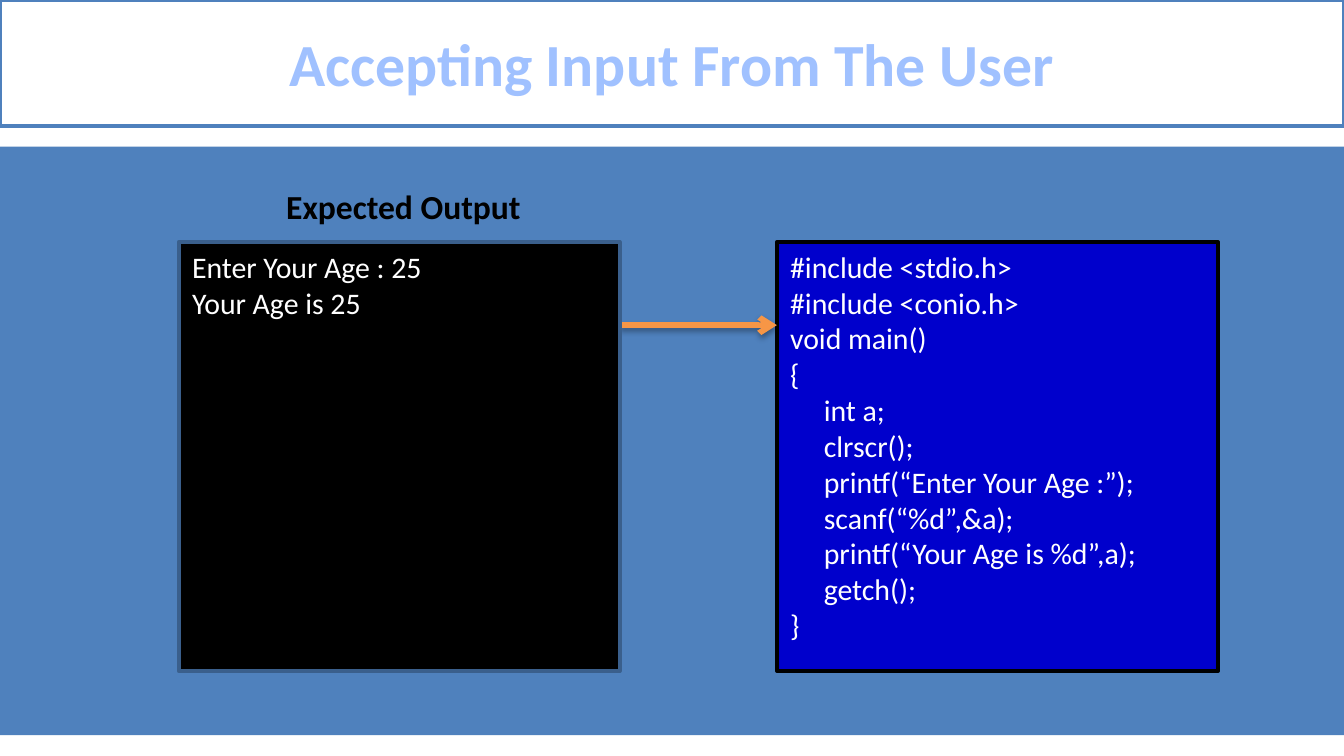
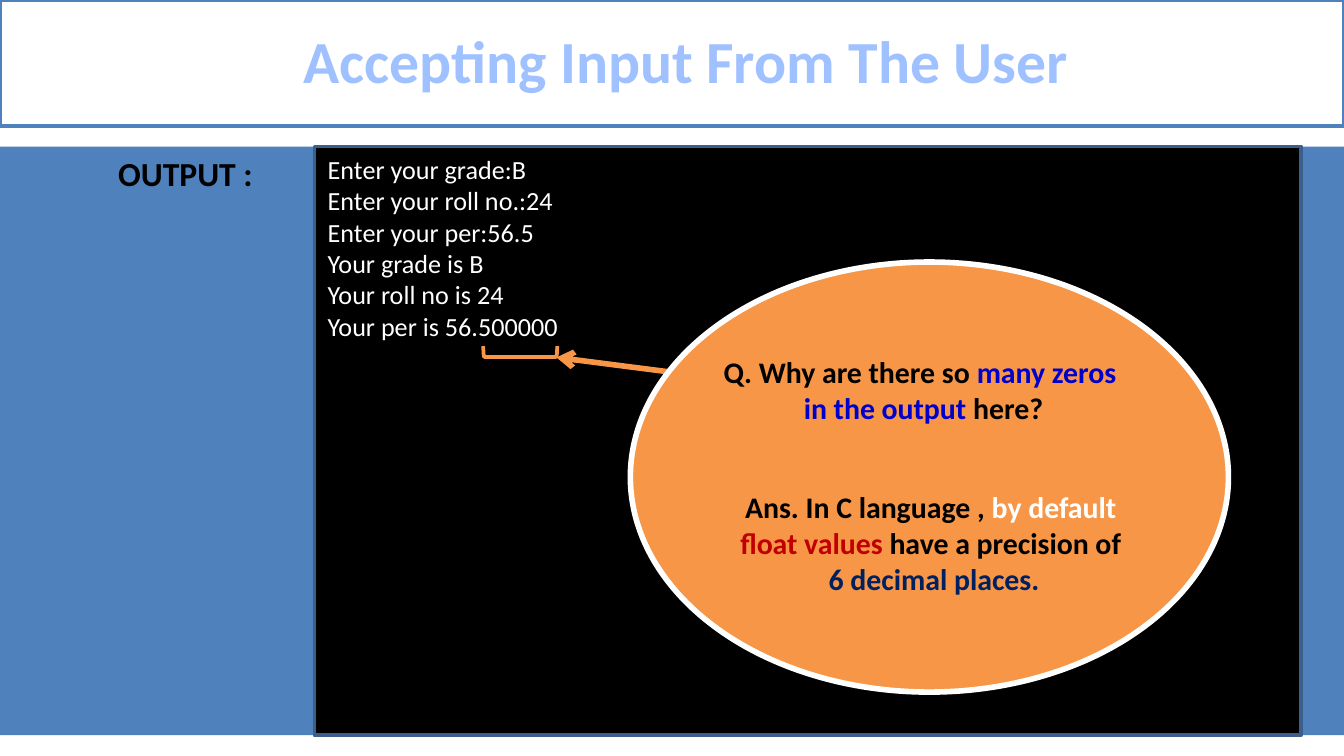
"""Build two slides on reading user input in C."""
from lxml import etree
from pptx import Presentation
from pptx.dml.color import RGBColor as Rgb
from pptx.enum import shapes, text
from pptx.oxml import parse_xml
from pptx.oxml.ns import qn
from pptx.util import Pt

WHITE = Rgb(0xFF, 0xFF, 0xFF)
BLACK = Rgb(0, 0, 0)
STEEL = Rgb(0x4F, 0x81, 0xBD)
EDGE = Rgb(0x3A, 0x5F, 0x8C)
PALE = Rgb(0xA0, 0xC1, 0xFF)
BLUE = Rgb(0, 0, 0xCC)
NAVY = Rgb(0, 0x20, 0x60)
RED = Rgb(0xC0, 0, 0)
AMBER = Rgb(0xF7, 0x96, 0x46)

FONT = "Calibri"
TITLE = "Accepting Input From The User"
WIDE, HIGH = 720, 405
BAND = (0, 78.5, WIDE, 315.4)
HEAD = (0, 0, WIDE, 67.5)
PANE_Y, PANE_W, PANE_H = 129.6, 236.2, 230
LEFT_X, RIGHT_X = 95.8, 416.2

PROMPT = ["Enter Your Age : 25", "Your Age is 25"]
CODE = [
    "#include <stdio.h>",
    "#include <conio.h>",
    "void main()",
    "{",
    "     int a;",
    "     clrscr();",
    "     printf(“Enter Your Age :”);",
    "     scanf(“%d”,&a);",
    "     printf(“Your Age is %d”,a);",
    "     getch();",
    "}",
]
RESULT = [
    "Enter your grade:B",
    "Enter your roll no.:24",
    "Enter your per:56.5",
    "Your grade is B",
    "Your roll no is 24",
    "Your per is 56.500000",
]
ASK = [
    [("Q. Why are there so ", BLACK), ("many zeros ", BLUE)],
    [("in the output", BLUE), (" here?", BLACK)],
]
REPLY = [
    [("Ans. In C language , ", BLACK), ("by default ", WHITE)],
    [("float values", RED), (" have a precision of ", BLACK)],
    [("6 decimal places.", NAVY)],
]

GLOW = (
    '<a:outerShdw xmlns:a="http://schemas.openxmlformats.org/drawingml/2006/main"'
    ' blurRad="{}" dist="{}" dir="5400000" rotWithShape="0">'
    '<a:srgbClr val="000000"><a:alpha val="{}000"/></a:srgbClr></a:outerShdw>'
)


def glow(item, dist, alpha):
    props = item._element.spPr
    node = props.find(qn("a:effectLst"))
    if node is None:
        node = etree.SubElement(props, qn("a:effectLst"))
    node.append(parse_xml(GLOW.format(Pt(3.1), Pt(dist), alpha)))


def write(frame, lines, size, color=WHITE, bold=False, center=False):
    for pos, line in enumerate(lines):
        para = frame.paragraphs[0] if pos == 0 else frame.add_paragraph()
        para.alignment = text.PP_ALIGN.CENTER if center else text.PP_ALIGN.LEFT
        for words, tint in [(line, color)] if isinstance(line, str) else line:
            run = para.add_run()
            run.text = words
            run.font.name = FONT
            run.font.size = Pt(size)
            run.font.bold = bold
            run.font.color.rgb = tint


def draw(slide, box, fill=None, line=None, width=2, kind="RECTANGLE"):
    item = slide.shapes.add_shape(shapes.MSO_SHAPE[kind], *map(Pt, box))
    item.shadow.inherit = False
    if fill is None:
        item.fill.background()
    else:
        item.fill.solid()
        item.fill.fore_color.rgb = fill
    if line is None:
        item.line.fill.background()
    else:
        item.line.color.rgb = line
        item.line.width = Pt(width)
    return item


def label(slide, box, lines, size, **look):
    frame = slide.shapes.add_textbox(*map(Pt, box)).text_frame
    frame.word_wrap = True
    write(frame, lines, size, **look)


def arrow(slide, *ends):
    item = slide.shapes.add_connector(shapes.MSO_CONNECTOR.STRAIGHT, *map(Pt, ends))
    item.line.color.rgb = AMBER
    item.line.width = Pt(3)
    etree.SubElement(item.line._get_or_add_ln(), qn("a:tailEnd"), type="arrow")
    glow(item, 1.8, 35)


def base(deck):
    slide = deck.slides.add_slide(deck.slide_layouts[6])
    draw(slide, BAND, STEEL)
    head = draw(slide, HEAD, WHITE, STEEL)
    frame = head.text_frame
    frame.word_wrap = True
    frame.vertical_anchor = text.MSO_ANCHOR.MIDDLE
    write(frame, [TITLE], 32, PALE, bold=True, center=True)
    return slide, frame


def age(deck):
    slide, _ = base(deck)
    left = (LEFT_X, PANE_Y, PANE_W, PANE_H)
    right = (RIGHT_X, PANE_Y, PANE_W, PANE_H)
    draw(slide, right, BLUE, BLACK)
    label(slide, (146.2, 95.8, 140.4, 28.8), ["Expected Output"], 18,
          color=BLACK, bold=True)
    arrow(slide, LEFT_X + PANE_W, 174.2, RIGHT_X, 174.2)
    draw(slide, left, BLACK, EDGE)
    label(slide, left, PROMPT, 16)
    label(slide, right, CODE, 16)


def grade(deck):
    slide, frame = base(deck)
    frame.margin_left = Pt(22.2)
    frame.margin_bottom = Pt(7.6)
    draw(slide, (168.5, BAND[1], 528.5, BAND[3]), BLACK, EDGE)
    label(slide, (56.2, BAND[1], 140.4, 28.8), ["OUTPUT :"], 18,
          color=BLACK, bold=True)
    label(slide, (168.5, BAND[1], 540, 108.7), RESULT, 14)
    mark = draw(slide, (275.8, 168.5, 5.8, 39.6), None, AMBER, kind="RIGHT_BRACKET")
    mark.rotation = 90
    glow(mark, 1.6, 38)
    arrow(slide, 382.3, 202.3, 298.1, 191.5)
    oval = draw(slide, (337.7, 140.4, 320.4, 230.4), AMBER, WHITE, 3,
                "FLOWCHART_CONNECTOR")
    glow(oval, 1.6, 38)
    label(slide, (376.6, 185.8, PANE_W, 46), ASK, 16, bold=True, center=True)
    label(slide, (382.3, 258.5, PANE_W, 65.5), REPLY, 16, bold=True, center=True)


def main():
    deck = Presentation()
    deck.slide_width, deck.slide_height = Pt(WIDE), Pt(HIGH)
    age(deck)
    grade(deck)
    deck.save("out.pptx")


if __name__ == "__main__":
    main()
